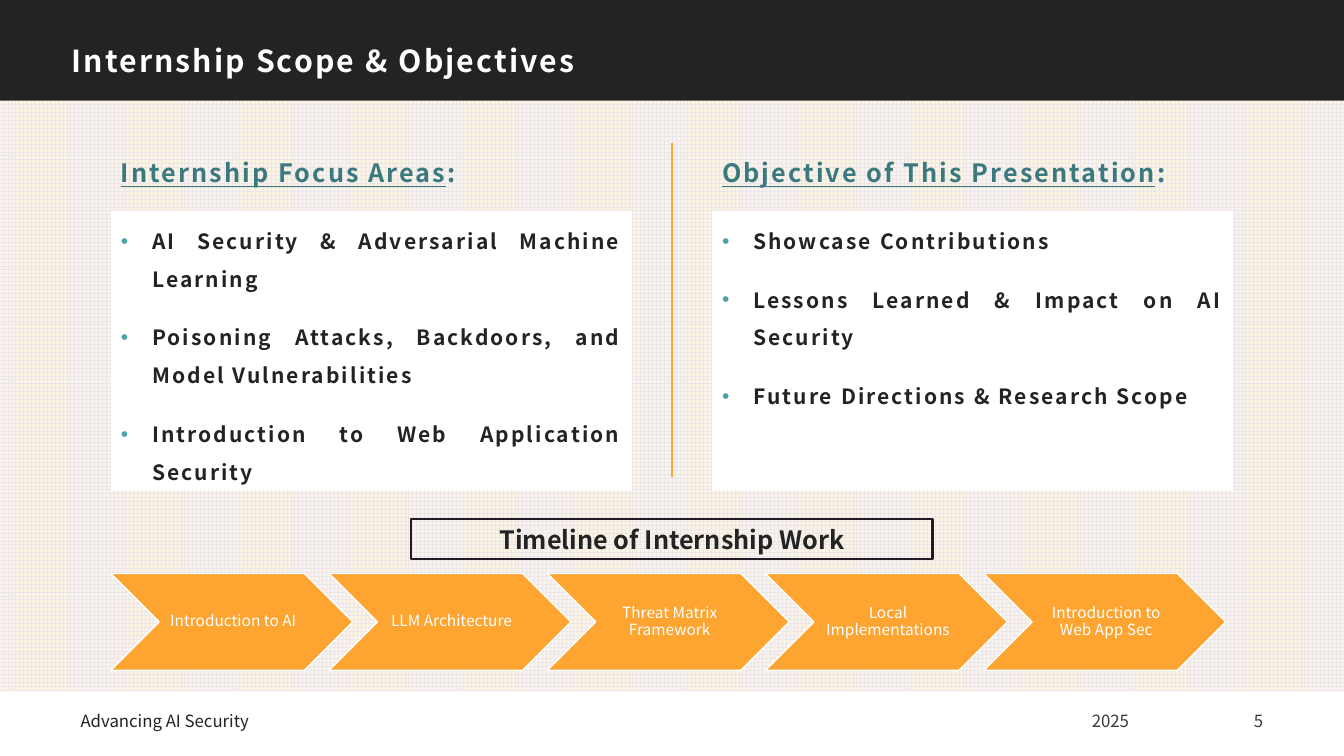
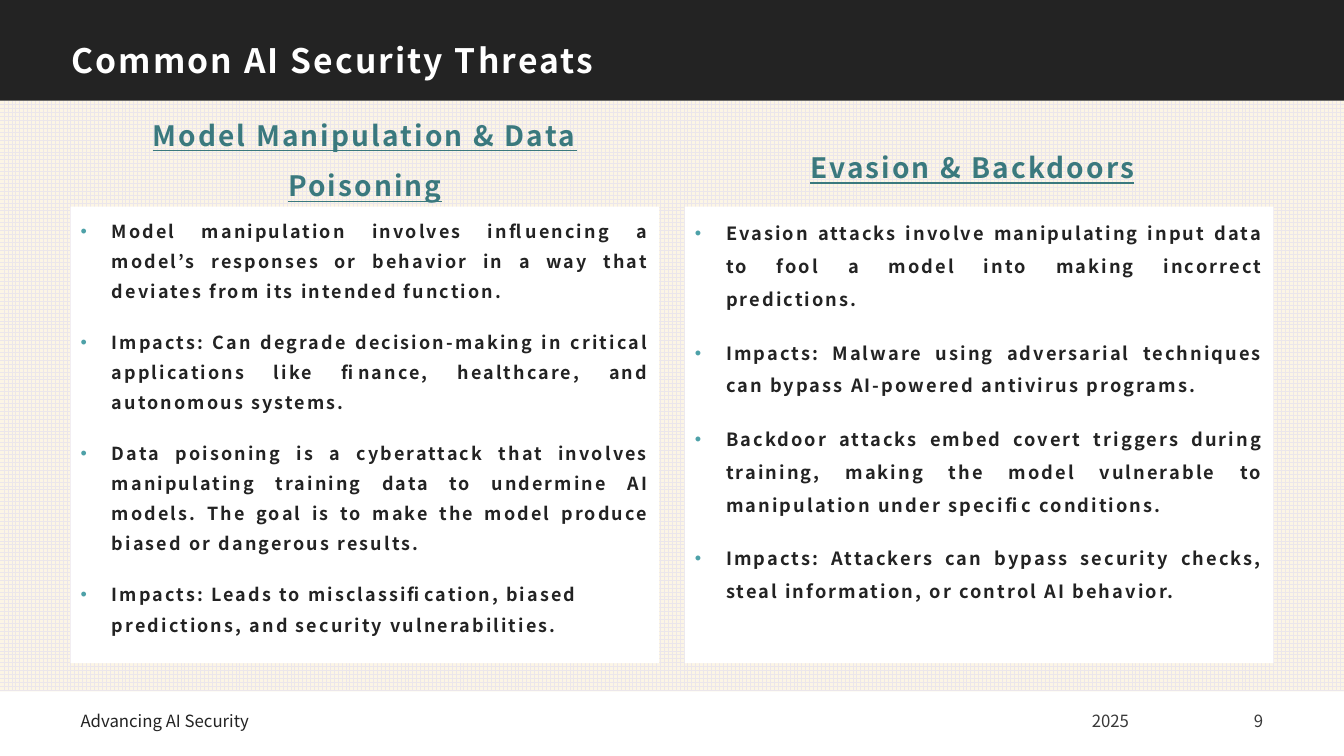
from lxml.etree import SubElement
from pptx import Presentation
from pptx.dml.color import RGBColor
from pptx.enum.dml import MSO_PATTERN
from pptx.enum.shapes import MSO_CONNECTOR, MSO_SHAPE
from pptx.enum.text import MSO_ANCHOR, MSO_AUTO_SIZE, PP_ALIGN
from pptx.oxml.ns import qn
from pptx.util import Inches, Pt

WIDTH, HEIGHT = Inches(13.33), Inches(7.5)
FONT = "Noto Sans CJK JP"
WHITE, INK, GREY, ORANGE = "FFFFFF", "232323", "393939", "FDA431"
TEAL, BULLET, OUTLINE = "3A797E", "4DA1A8", "231B23"
GRID, CREAM = "EBE6EB", "FCF5E5"
WIDE, NARROW = 43.8, 38.78
WIDE_MARGIN, NARROW_MARGIN = 5.25, 8.25
FOOTER_TOP, FOOTER_HEIGHT = 92.67, 5.33


def color(value):
    """Turn a hex string into a colour."""
    return RGBColor.from_string(value)


def apply(target, values):
    """Set every attribute named in a dict of values."""
    for name, value in values.items():
        setattr(target, name, value)


def area(left, top, width, height):
    """Turn percentages of the slide into a left, top, width, height tuple."""
    return (int(WIDTH * left / 100), int(HEIGHT * top / 100),
            int(WIDTH * width / 100), int(HEIGHT * height / 100))


def mirrored(left, width):
    """Return the left edge that mirrors a column about the slide's centre."""
    return 100 - left - width


def place(shape, left, top, width, height):
    """Move and size a shape in percentages of the slide."""
    apply(shape, dict(zip(("left", "top", "width", "height"),
                          area(left, top, width, height))))


def format_frame(frame, anchor=MSO_ANCHOR.TOP, insets=(0.1, 0.05, 0.1, 0.05)):
    """Fix wrapping, anchor and insets of a text frame."""
    sides = ("margin_left", "margin_top", "margin_right", "margin_bottom")
    apply(frame, {"auto_size": MSO_AUTO_SIZE.NONE, "word_wrap": True,
                  "vertical_anchor": anchor})
    apply(frame, dict(zip(sides, map(Inches, insets))))


def write(paragraph, text, size, ink, alignment=PP_ALIGN.LEFT, line_spacing=1,
          tracking=0, **font_values):
    """Append a formatted run to a paragraph."""
    apply(paragraph, {"alignment": alignment, "line_spacing": line_spacing,
                      "space_after": Pt(0)})
    if not paragraph.runs:
        paragraph.space_before = Pt(0)
    run = paragraph.add_run()
    run.text = text
    apply(run.font, {"name": FONT, "size": Pt(size), **font_values})
    run.font.color.rgb = color(ink)
    if tracking:
        run.font._element.set("spc", str(int(tracking * 100)))


def add_block(slide, kind, box, fill=None, line=None, line_width=1):
    """Add a flat preset shape."""
    shape = slide.shapes.add_shape(kind, *area(*box))
    shape.shadow.inherit = False
    if fill:
        shape.fill.solid()
        shape.fill.fore_color.rgb = color(fill)
    else:
        shape.fill.background()
    if line:
        shape.line.color.rgb = color(line)
        shape.line.width = Pt(line_width)
    else:
        shape.line.fill.background()
    return shape


def move_bands_to_layout(slide):
    """Draw the patterned ground and title band once, on the layout."""
    ground = add_block(slide, MSO_SHAPE.RECTANGLE, (0, 13.33, 100, 78.13), CREAM)
    ground.fill.patterned()
    ground.fill.pattern = MSO_PATTERN.LARGE_GRID
    ground.fill.fore_color.rgb = color(GRID)
    ground.fill.back_color.rgb = color(CREAM)
    band = add_block(slide, MSO_SHAPE.RECTANGLE, (0, 0, 100, 13.33), INK)
    tree = slide.slide_layout.shapes.element
    for shape in (band, ground):
        tree.insert(2, shape.element)


def fill_title(slide, text, size):
    """Fill the title placeholder in the dark band."""
    title = slide.shapes.title
    place(title, 4.43, 3.2, 45.6, 9.87)
    format_frame(title.text_frame, MSO_ANCHOR.MIDDLE, (0.12, 0.12, 0.12, 0.1))
    write(title.text_frame.paragraphs[0], text, size, WHITE,
          line_spacing=0.9, tracking=1.5, bold=True)


def fill_heading(placeholder, box, text, size, alignment, suffix=""):
    """Fill a column heading, underlined up to its suffix."""
    place(placeholder, *box)
    format_frame(placeholder.text_frame)
    paragraph = placeholder.text_frame.paragraphs[0]
    for part, underline in ((text, True), (suffix, False)):
        if part:
            write(paragraph, part, size, TEAL, alignment, 1.5, 1.5,
                  bold=True, underline=underline)


def add_bullet(paragraph):
    """Give a paragraph a coloured bullet with a hanging indent."""
    properties = paragraph._p.get_or_add_pPr()
    properties.set("marL", str(Inches(0.31)))
    properties.set("indent", str(-Inches(0.31)))
    bullet_color = SubElement(properties, qn("a:buClr"))
    SubElement(bullet_color, qn("a:srgbClr"), val=BULLET)
    SubElement(properties, qn("a:buFont"), typeface="Arial")
    SubElement(properties, qn("a:buChar"), char="•")


def fill_list(placeholder, box, items, size, line_spacing=1.5):
    """Fill a white panel with justified bullets."""
    place(placeholder, *box)
    placeholder.fill.solid()
    placeholder.fill.fore_color.rgb = color(WHITE)
    frame = placeholder.text_frame
    format_frame(frame)
    for index, item in enumerate(items):
        paragraph = frame.add_paragraph() if index else frame.paragraphs[0]
        add_bullet(paragraph)
        write(paragraph, item, size, INK, PP_ALIGN.JUSTIFY, line_spacing, 1.5,
              bold=True)
        if index:
            paragraph.space_before = Pt(15)


def add_footer(slide, number):
    """Add the footer text, year and slide number."""
    for left, width, text, ink, alignment in (
            (5.25, 51.6, "Advancing AI Security", INK, PP_ALIGN.LEFT),
            (59.85, 24.9, "2025", GREY, PP_ALIGN.RIGHT),
            (87.83, 6.9, str(number), GREY, PP_ALIGN.RIGHT)):
        box = slide.shapes.add_textbox(*area(left, FOOTER_TOP, width, FOOTER_HEIGHT))
        format_frame(box.text_frame, MSO_ANCHOR.MIDDLE)
        write(box.text_frame.paragraphs[0], text, 12, ink, alignment)


def add_divider(slide):
    """Add the vertical rule between the columns."""
    left, top, _, height = area(50, 18.93, 0, 44.14)
    divider = slide.shapes.add_connector(MSO_CONNECTOR.STRAIGHT, left, top,
                                         left, top + height)
    divider.line.color.rgb = color(ORANGE)
    divider.line.width = Pt(1.5)
    SubElement(divider.element.spPr, qn("a:effectLst"))


def add_timeline(slide, label, steps):
    """Add the framed label and its row of evenly spaced chevrons."""
    frame = add_block(slide, MSO_SHAPE.RECTANGLE,
                      ((100 - NARROW) / 2, 68.67, NARROW, 5.33),
                      line=OUTLINE, line_width=1.5)
    format_frame(frame.text_frame, MSO_ANCHOR.MIDDLE)
    write(frame.text_frame.paragraphs[0], label, 18, INK, PP_ALIGN.CENTER, bold=True)
    width = 18
    pitch = (91.2 - width - NARROW_MARGIN) / (len(steps) - 1)
    for index, step in enumerate(steps):
        chevron = add_block(slide, MSO_SHAPE.CHEVRON,
                            (NARROW_MARGIN + index * pitch, 75.87, width, 12.8),
                            ORANGE, WHITE)
        format_frame(chevron.text_frame, MSO_ANCHOR.MIDDLE, (0.05, 0.02, 0.02, 0.02))
        write(chevron.text_frame.paragraphs[0], step, 11, WHITE,
              PP_ALIGN.CENTER, 0.9)


def add_comparison(presentation, title, title_size, number):
    """Add a two-column slide; return it with its four body placeholders."""
    slide = presentation.slides.add_slide(presentation.slide_layouts[4])
    fill_title(slide, title, title_size)
    add_footer(slide, number)
    return slide, [slide.placeholders[index] for index in range(1, 5)]


def build_scope(presentation):
    """Build the scope and objectives slide."""
    slide, bodies = add_comparison(presentation, "Internship Scope & Objectives", 21.6, 5)
    move_bands_to_layout(slide)
    columns = (
        (NARROW_MARGIN, "Internship Focus Areas", (
            "AI Security & Adversarial Machine Learning",
            "Poisoning Attacks, Backdoors, and Model Vulnerabilities",
            "Introduction to Web Application Security")),
        (mirrored(NARROW_MARGIN, NARROW), "Objective of This Presentation", (
            "Showcase Contributions",
            "Lessons Learned & Impact on AI Security",
            "Future Directions & Research Scope")))
    for (left, heading, items), header, body in zip(columns, bodies[::2], bodies[1::2]):
        fill_heading(header, (left, 18.13, NARROW, 6.8), heading, 18, PP_ALIGN.LEFT, ":")
        fill_list(body, (left, 27.87, NARROW, 37.07), items, 15)
    add_divider(slide)
    add_timeline(slide, "Timeline of Internship Work", (
        "Introduction to AI", "LLM Architecture", "Threat Matrix Framework",
        "Local Implementations", "Introduction to Web App Sec"))


def build_threats(presentation):
    """Build the security threats slide."""
    _, bodies = add_comparison(presentation, "Common AI Security Threats", 24, 9)
    columns = (
        ((WIDE_MARGIN, 12.8, WIDE, 12.67), "Model Manipulation & Data Poisoning",
         WIDE_MARGIN, 12.8, 1.4, (
            "Model manipulation involves influencing a model’s responses or behavior "
            "in a way that deviates from its intended function.",
            "Impacts: Can degrade decision-making in critical applications like "
            "finance, healthcare, and autonomous systems.",
            "Data poisoning is a cyberattack that involves manipulating training data "
            "to undermine AI models. The goal is to make the model produce biased or "
            "dangerous results.",
            "Impacts: Leads to misclassification, biased predictions, and security "
            "vulnerabilities.")),
        ((mirrored(NARROW_MARGIN, NARROW), 17.07, NARROW, 8.53), "Evasion & Backdoors",
         mirrored(WIDE_MARGIN, WIDE), 13, 1.5, (
            "Evasion attacks involve manipulating input data to fool a model into "
            "making incorrect predictions.",
            "Impacts: Malware using adversarial techniques can bypass AI-powered "
            "antivirus programs.",
            "Backdoor attacks embed covert triggers during training, making the model "
            "vulnerable to manipulation under specific conditions.",
            "Impacts: Attackers can bypass security checks, steal information, or "
            "control AI behavior.")))
    for column, header, body in zip(columns, bodies[::2], bodies[1::2]):
        heading_box, heading, left, size, line_spacing, items = column
        fill_heading(header, heading_box, heading, 20, PP_ALIGN.CENTER)
        fill_list(body, (left, 27.33, WIDE, 60.4), items, size, line_spacing)
    bodies[1].text_frame.paragraphs[-1].alignment = PP_ALIGN.LEFT


def main():
    """Build and save the presentation."""
    presentation = Presentation()
    apply(presentation, {"slide_width": WIDTH, "slide_height": HEIGHT})
    build_scope(presentation)
    build_threats(presentation)
    presentation.save("out.pptx")


if __name__ == "__main__":
    main()
